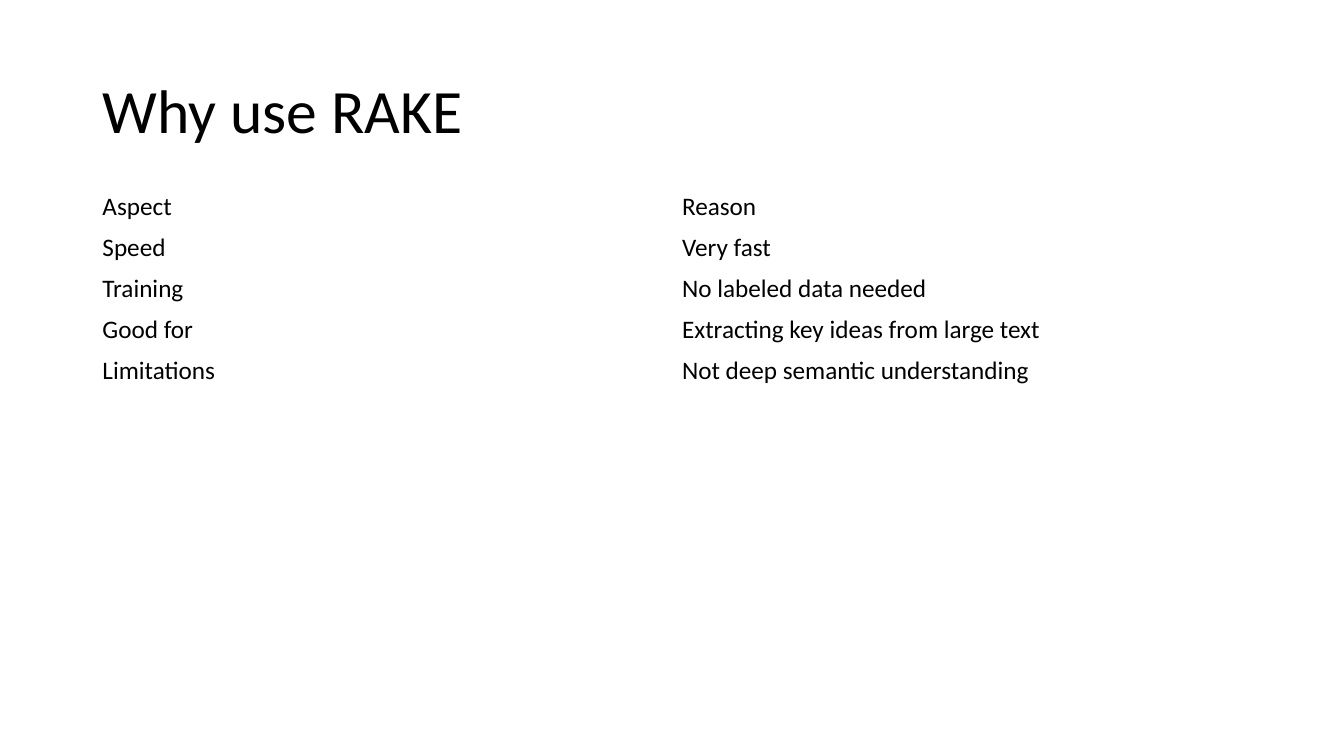
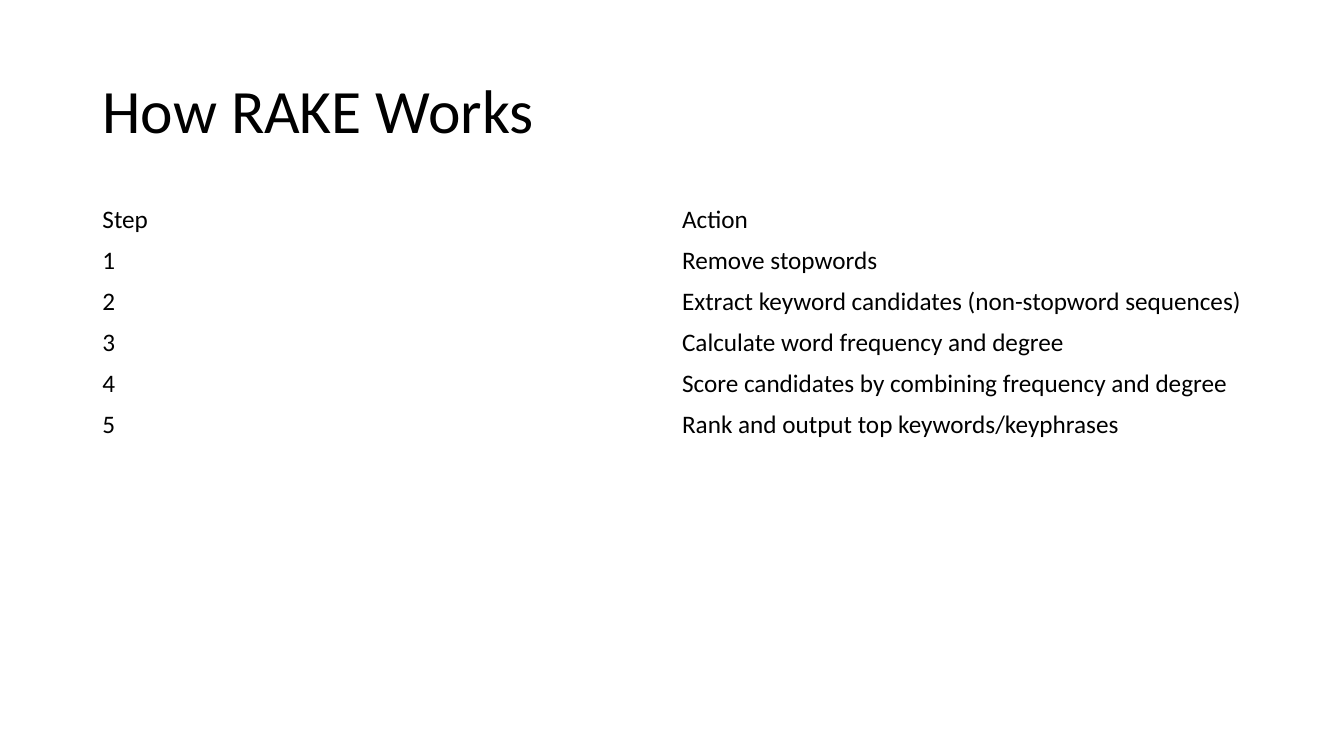
from dataclasses import dataclass

from pptx import Presentation
from pptx.dml.color import RGBColor
from pptx.enum.text import MSO_ANCHOR, PP_ALIGN
from pptx.slide import Slide
from pptx.text.text import TextFrame
from pptx.util import Pt

# Shared style
COLORS = {"text": "000000"}
FONT = "Calibri"
TITLE_SIZE, CELL_SIZE = 44, 18
LEFT, WIDTH = 66, 828
TITLE_TOP, TITLE_HEIGHT = 28.75, 104.4
ROW_HEIGHT = 29.17


@dataclass(frozen=True)
class Topic:
    title: str
    table_top: float
    rows: list[tuple[str, str]]


TOPICS = [
    Topic("Why use RAKE", 133.2, [
        ("Aspect", "Reason"),
        ("Speed", "Very fast"),
        ("Training", "No labeled data needed"),
        ("Good for", "Extracting key ideas from large text"),
        ("Limitations", "Not deep semantic understanding"),
    ]),
    Topic("How RAKE Works", 142.6, [
        ("Step", "Action"),
        ("1", "Remove stopwords"),
        ("2", "Extract keyword candidates (non-stopword sequences)"),
        ("3", "Calculate word frequency and degree"),
        ("4", "Score candidates by combining frequency and degree"),
        ("5", "Rank and output top keywords/keyphrases"),
    ]),
]


def write(frame: TextFrame, text: str, size: float) -> None:
    """Put left-aligned text in a frame, in the shared font and colour."""
    frame.text = text
    for paragraph in frame.paragraphs:
        paragraph.alignment = PP_ALIGN.LEFT
        for run in paragraph.runs:
            run.font.name = FONT
            run.font.size = Pt(size)
            run.font.bold = False
            run.font.color.rgb = RGBColor.from_string(COLORS["text"])


def draw_title(slide: Slide, text: str) -> None:
    heading = slide.shapes.title
    heading.left, heading.top = Pt(LEFT), Pt(TITLE_TOP)
    heading.width, heading.height = Pt(WIDTH), Pt(TITLE_HEIGHT)
    write(heading.text_frame, text, TITLE_SIZE)
    heading.text_frame.vertical_anchor = MSO_ANCHOR.MIDDLE
    heading.text_frame.paragraphs[0].line_spacing = 0.9


def draw_table(slide: Slide, topic: Topic) -> None:
    row_count, column_count = len(topic.rows), len(topic.rows[0])
    table = slide.shapes.add_table(
        row_count, column_count, Pt(LEFT), Pt(topic.table_top),
        Pt(WIDTH), Pt(ROW_HEIGHT * row_count)).table
    table.first_row = table.horz_banding = False
    for row_index, entries in enumerate(topic.rows):
        table.rows[row_index].height = Pt(ROW_HEIGHT)
        for column_index, entry in enumerate(entries):
            cell = table.cell(row_index, column_index)
            cell.fill.background()
            cell.vertical_anchor = MSO_ANCHOR.MIDDLE
            write(cell.text_frame, entry, CELL_SIZE)


# Build the slides
deck = Presentation()
deck.slide_width, deck.slide_height = Pt(960), Pt(540)
title_only = deck.slide_layouts[5]
for topic in TOPICS:
    slide = deck.slides.add_slide(title_only)
    draw_title(slide, topic.title)
    draw_table(slide, topic)
deck.save("out.pptx")
